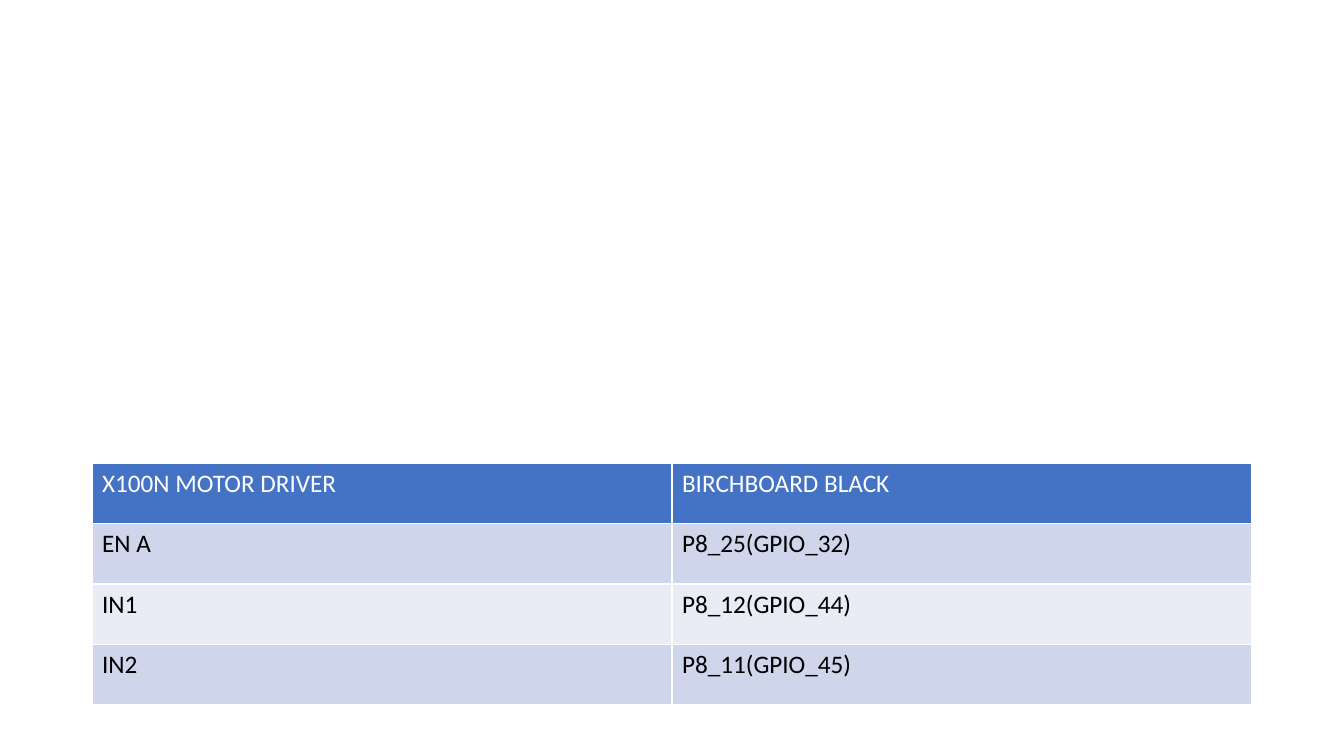
from lxml.etree import SubElement
from pptx import Presentation
from pptx.dml.color import RGBColor
from pptx.oxml.ns import qn
from pptx.util import Pt

PX = 914400 / 100.8
COLORS = {
    "header": "4472C4",
    "odd": "CFD5EA",
    "even": "E9EBF5",
    "line": "FFFFFF",
    "header_text": "FFFFFF",
    "body_text": "000000",
}
ROWS = [
    ("X100N MOTOR DRIVER", "BIRCHBOARD BLACK"),
    ("EN A", "P8_25(GPIO_32)"),
    ("IN1", "P8_12(GPIO_44)"),
    ("IN2", "P8_11(GPIO_45)"),
]
LEFT, TOP, COL_W, HEIGHT = 92, 463, 580, 242


def px(n):
    return round(n * PX)


def add_border(cell, side):
    tcPr = cell._tc.get_or_add_tcPr()
    ln = SubElement(tcPr, qn(f"a:{side}"), w=str(Pt(1)))
    fill = SubElement(ln, qn("a:solidFill"))
    SubElement(fill, qn("a:srgbClr"), val=COLORS["line"])


prs = Presentation()
prs.slide_width, prs.slide_height = px(1344), px(756)
s = prs.slides.add_slide(prs.slide_layouts[6])

table = s.shapes.add_table(
    len(ROWS), 2, px(LEFT), px(TOP), px(2 * COL_W), px(HEIGHT)
).table

for i, row in enumerate(ROWS):
    band = "header" if i == 0 else "odd" if i % 2 else "even"
    text_color = COLORS["header_text" if i == 0 else "body_text"]
    for j, text in enumerate(row):
        cell = table.cell(i, j)
        for side in ("lnL", "lnR", "lnT", "lnB"):
            add_border(cell, side)
        cell.fill.solid()
        cell.fill.fore_color.rgb = RGBColor.from_string(COLORS[band])
        cell.text = text
        font = cell.text_frame.paragraphs[0].font
        font.name = "Calibri"
        font.size = Pt(18)
        font.bold = False
        font.color.rgb = RGBColor.from_string(text_color)

prs.save("out.pptx")
